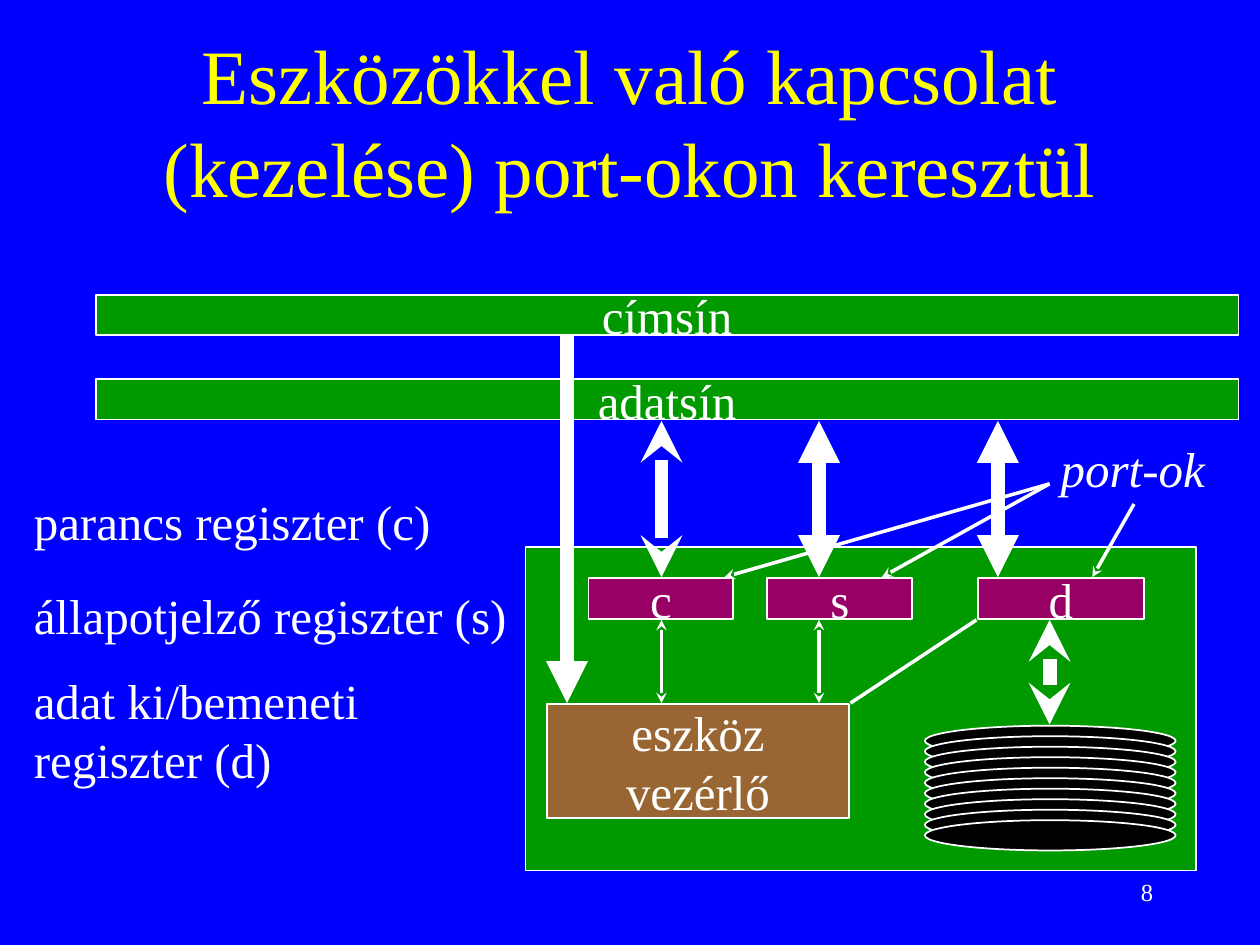
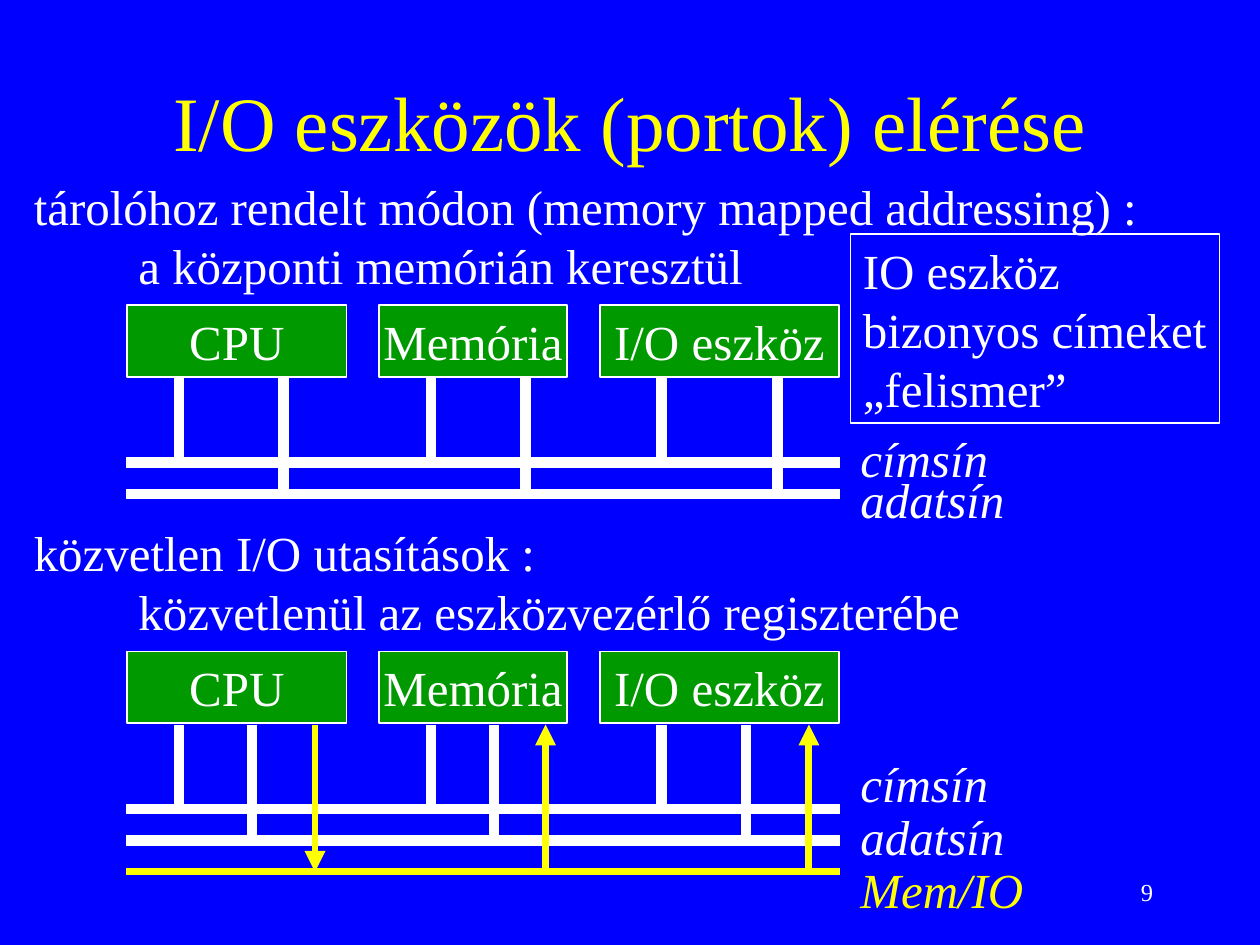
from dataclasses import dataclass

from lxml import etree
from pptx import Presentation
from pptx.dml.color import RGBColor
from pptx.enum import shapes, text
from pptx.oxml.ns import qn
from pptx.util import Inches, Pt

# Shared look
BLUE = RGBColor(0x00, 0x00, 0xFF)
YELLOW = RGBColor(0xFF, 0xFF, 0x00)
WHITE = RGBColor(0xFF, 0xFF, 0xFF)
GREEN = RGBColor(0x00, 0x99, 0x00)
PURPLE = RGBColor(0x99, 0x00, 0x66)
BROWN = RGBColor(0x99, 0x66, 0x33)
BLACK = RGBColor(0x00, 0x00, 0x00)
FONT = "Times New Roman"
RECTANGLE = shapes.MSO_SHAPE.RECTANGLE
OVAL = shapes.MSO_SHAPE.OVAL
LEFT, CENTER, RIGHT = text.PP_ALIGN.LEFT, text.PP_ALIGN.CENTER, text.PP_ALIGN.RIGHT
INDENT = Inches(0.83)


@dataclass(frozen=True)
class Block:
    left: float
    top: float
    width: float
    height: float
    words: str = ""
    fill: RGBColor | None = GREEN
    outline: int = RECTANGLE
    align: int = CENTER


@dataclass(frozen=True)
class Label:
    left: float
    top: float
    width: float
    words: str
    height: float = 0.57
    italic: bool = False
    color: RGBColor = WHITE
    indent_last: bool = False


@dataclass(frozen=True)
class Wire:
    start: tuple[float, float]
    end: tuple[float, float]
    weight: float
    head: str = ""
    tail: str = ""
    color: RGBColor = WHITE


def write(frame, words: str, size: int = 28, color: RGBColor = WHITE,
          align: int = LEFT, italic: bool = False) -> None:
    """Fill a text frame, one paragraph for each line of words."""
    frame.text = words
    for para in frame.paragraphs:
        para.alignment = align
        para.font.name = FONT
        para.font.size = Pt(size)
        para.font.color.rgb = color
        para.font.italic = italic


def draw_block(page, block: Block) -> None:
    box = page.shapes.add_shape(block.outline, Inches(block.left), Inches(block.top),
                                Inches(block.width), Inches(block.height))
    box.shadow.inherit = False
    if block.fill is None:
        box.fill.background()
    else:
        box.fill.solid()
        box.fill.fore_color.rgb = block.fill
    box.line.color.rgb = WHITE
    box.line.width = Pt(1)
    if block.words:
        box.text_frame.word_wrap = False
        box.text_frame.vertical_anchor = text.MSO_ANCHOR.MIDDLE
        write(box.text_frame, block.words, align=block.align)


def draw_label(page, label: Label) -> None:
    box = page.shapes.add_textbox(Inches(label.left), Inches(label.top),
                                  Inches(label.width), Inches(label.height))
    frame = box.text_frame
    frame.word_wrap = False
    write(frame, label.words, color=label.color, italic=label.italic)
    if label.indent_last:
        frame.paragraphs[-1]._p.get_or_add_pPr().set("marL", str(INDENT))


def draw_wire(page, wire: Wire) -> None:
    line = page.shapes.add_connector(shapes.MSO_CONNECTOR.STRAIGHT,
                                     *(Inches(value) for value in wire.start + wire.end))
    line.line.color.rgb = wire.color
    line.line.width = Pt(wire.weight)
    for tag, kind in (("a:headEnd", wire.head), ("a:tailEnd", wire.tail)):
        if kind:
            etree.SubElement(line.line._get_or_add_ln(), qn(tag), type=kind)
    etree.SubElement(line._element.spPr, qn("a:effectLst"))


DRAW = {Block: draw_block, Label: draw_label, Wire: draw_wire}


def add_page(deck, title: str, number: int, parts: list) -> None:
    """Add a slide with the shared title, its parts and a page number."""
    page = deck.slides.add_slide(deck.slide_layouts[5])
    box = page.shapes.title
    box.left, box.top, box.width, box.height = map(Inches, (0.75, 0.33, 8.5, 1.25))
    box.text_frame.auto_size = text.MSO_AUTO_SIZE.NONE
    box.text_frame.vertical_anchor = text.MSO_ANCHOR.MIDDLE
    write(box.text_frame, title, 44, YELLOW, CENTER)
    for part in parts:
        DRAW[type(part)](page, part)
    footer = page.shapes.add_textbox(*map(Inches, (7.17, 6.83, 2.08, 0.5)))
    footer.text_frame.word_wrap = True
    footer.text_frame.vertical_anchor = text.MSO_ANCHOR.MIDDLE
    write(footer.text_frame, str(number), 14, align=RIGHT)


def port_parts() -> list:
    """Buses on top, the device with its registers below."""
    buses = [Block(0.76, top, 9.07, 0.32, name)
             for name, top in (("címsín", 2.34), ("adatsín", 3.01))]
    device = [Block(4.17, 4.34, 5.32, 2.57),
              Block(4.34, 5.59, 2.4, 0.9, "eszköz\nvezérlő", BROWN)]
    registers = [Block(left, 4.59, width, 0.32, name, PURPLE)
                 for name, left, width in (("c", 4.67, 1.15), ("s", 6.09, 1.15),
                                           ("d", 7.76, 1.32))]
    disks = [Block(7.34, 5.76 + index / 12, 1.99, 0.24, fill=BLACK, outline=OVAL)
             for index in range(10)]

    # Address line, data lines, controller links and disk link
    wires = [Wire((4.5, 2.67), (4.5, 5.58), 8, tail="triangle")]
    wires += [Wire((x, 3.34), (x, 4.58), 8, kind, kind)
              for x, kind in ((5.25, "stealth"), (6.5, "triangle"), (7.92, "triangle"))]
    wires += [Wire((x, 4.92), (x, 5.58), 2, "stealth", "stealth") for x in (5.25, 6.5)]
    wires += [Wire((7.75, 4.92), (6.75, 5.58), 2),
              Wire((8.33, 4.92), (8.33, 5.75), 8, "stealth", "stealth")]

    # Pointers from the port label to the registers
    wires += [Wire(start, (x, 4.58), 2, tail="stealth")
              for start, x in (((8.33, 3.84), 5.75), ((8.33, 3.84), 7), ((9, 4), 8.67))]
    labels = [Label(8.32, 3.43, 1.35, "port-ok", italic=True),
              Label(0.17, 3.85, 3.35, "parancs regiszter (c)"),
              Label(0.17, 4.6, 3.95, "állapotjelző regiszter (s)"),
              Label(0.17, 5.27, 2.78, "adat ki/bemeneti\nregiszter (d)", 1.04)]
    return buses + device + registers + disks + wires + labels


def bus_diagram(top: float, data_taps: tuple, label_tops: tuple) -> list:
    """Three units wired to the address and data buses."""
    foot, address, data = top + 0.58, top + 1.25, top + 1.5
    units = [Block(left, top, width, 0.57, name)
             for name, left, width in (("CPU", 1.01, 1.74), ("Memória", 3.01, 1.49),
                                       ("I/O eszköz", 4.76, 1.9))]
    wires = []
    for bus, taps in ((address, (1.42, 3.42, 5.25)), (data, data_taps)):
        wires.append(Wire((1, bus), (6.67, bus), 6))
        wires += [Wire((x, foot), (x, bus), 6) for x in taps]
    labels = [Label(6.73, y, width, name, italic=True)
              for name, y, width in zip(("címsín", "adatsín"), label_tops, (1.22, 1.35))]
    return units + wires + labels


def access_parts() -> list:
    """Memory mapped access above, direct I/O instructions below."""
    mapped = bus_diagram(2.42, (2.25, 4.17, 6.17), (3.35, 3.68))
    direct = bus_diagram(5.17, (2, 3.92, 5.92), (5.93, 6.35))

    # Memory or I/O selection line
    select = [Wire((1, 6.92), (6.67, 6.92), 4, color=YELLOW)]
    select += [Wire((x, 5.75), (x, 6.92), 4, head, tail, YELLOW)
               for x, head, tail in ((2.5, "", "triangle"), (4.33, "triangle", ""),
                                     (6.42, "triangle", ""))]
    notes = [
        Label(6.73, 6.77, 1.5, "Mem/IO", italic=True, color=YELLOW),
        Block(6.75, 1.86, 2.93, 1.5, "IO eszköz\nbizonyos címeket\n„felismer”",
              fill=None, align=LEFT),
        Label(0.17, 4.1, 7.56,
              "közvetlen I/O utasítások :\nközvetlenül az eszközvezérlő regiszterébe",
              1.04, indent_last=True),
        Label(0.17, 1.35, 9.06,
              "tárolóhoz rendelt módon (memory mapped addressing) :\n"
              "a központi memórián keresztül", 1.04, indent_last=True),
    ]
    return mapped + direct + select + notes


def main() -> None:
    deck = Presentation()
    deck.slide_width, deck.slide_height = Inches(10), Inches(7.5)
    background = deck.slide_master.background.fill
    background.solid()
    background.fore_color.rgb = BLUE

    add_page(deck, "Eszközökkel való kapcsolat (kezelése) port-okon keresztül", 8, port_parts())
    add_page(deck, "I/O eszközök (portok) elérése", 9, access_parts())
    deck.save("out.pptx")


if __name__ == "__main__":
    main()
